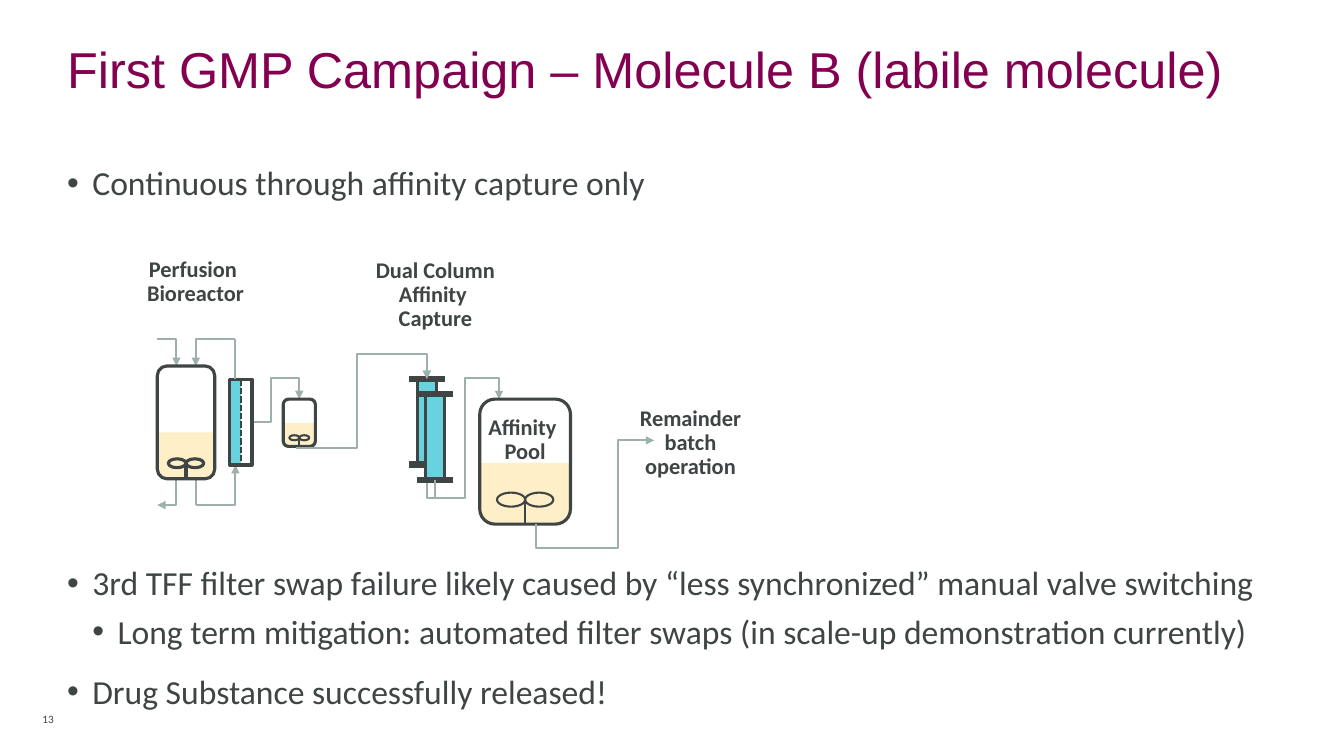
from dataclasses import dataclass

from lxml import etree
from pptx import Presentation
from pptx.dml.color import RGBColor
from pptx.enum.dml import MSO_LINE
from pptx.enum.shapes import MSO_CONNECTOR, MSO_SHAPE
from pptx.enum.text import MSO_ANCHOR, MSO_AUTO_SIZE, PP_ALIGN
from pptx.oxml.ns import qn
from pptx.util import Pt

STRAIGHT, ELBOW = MSO_CONNECTOR.STRAIGHT, MSO_CONNECTOR.ELBOW
RECT, OVAL = MSO_SHAPE.RECTANGLE, MSO_SHAPE.OVAL
VESSEL = MSO_SHAPE.FLOWCHART_ALTERNATE_PROCESS
LIQUID = MSO_SHAPE.ROUND_2_SAME_RECTANGLE
TOP, BOTTOM = 0, 2


class Theme:
    ink = RGBColor.from_string("3F4444")
    plum = RGBColor.from_string("830051")
    pipe = RGBColor.from_string("9DB0AC")
    resin = RGBColor.from_string("68D2DF")
    broth = RGBColor.from_string("FFEFC9")
    title_font, body_font = "Arial", "Calibri"
    title_size, body_size, label_size, number_size = 36, 24, 16, 8
    thin, wall, rim = 1.5, 2.25, 4.5


@dataclass
class Box:
    left: float
    top: float
    width: float
    height: float

    @property
    def right(self):
        return self.left + self.width

    @property
    def bottom(self):
        return self.top + self.height

    @property
    def center(self):
        return self.left + self.width / 2

    def inner(self, dx, dy, width, height):
        return Box(self.left + dx, self.top + dy, width, height)

    def lengths(self):
        return [Pt(v) for v in (self.left, self.top, self.width, self.height)]


def add_part(slide, kind, box, fill=None, weight=None):
    part = slide.shapes.add_shape(kind, *box.lengths())
    part.shadow.inherit = False
    if fill is None:
        part.fill.background()
    else:
        part.fill.solid()
        part.fill.fore_color.rgb = fill
    if weight is None:
        part.line.fill.background()
    else:
        part.line.color.rgb = Theme.ink
        part.line.width = Pt(weight)
    return part


def add_line(slide, start, end, color=Theme.pipe, weight=Theme.thin, arrow=False, kind=STRAIGHT):
    line = slide.shapes.add_connector(kind, *[Pt(v) for v in (*start, *end)])
    line.line.color.rgb = color
    line.line.width = Pt(weight)
    properties = line._element.spPr
    if arrow:
        etree.SubElement(properties.find(qn("a:ln")), qn("a:tailEnd"), type="triangle")
    etree.SubElement(properties, qn("a:effectLst"))
    return line


def add_pipe(slide, start, end, bends, upright=False):
    """Arrow bending at x, y, x... in turn; an upright one leaves vertically, so y comes first."""
    first = 1 if upright else 0
    ends = [start, end]
    if upright:
        mid_x, mid_y = (start[0] + end[0]) / 2, (start[1] + end[1]) / 2
        ends = [(mid_x + y - mid_y, mid_y - x + mid_x) for x, y in ends]
    pipe = add_line(slide, *ends, arrow=True, kind=ELBOW)
    properties = pipe._element.spPr
    if upright:
        properties.find(qn("a:xfrm")).set("rot", "5400000")
    geometry = properties.find(qn("a:prstGeom"))
    geometry.set("prst", f"bentConnector{len(bends) + 2}")
    guides = geometry.find(qn("a:avLst"))
    for i, bend in enumerate(bends):
        axis = (first + i) % 2
        share = (bend - start[axis]) / (end[axis] - start[axis])
        etree.SubElement(guides, qn("a:gd"), name=f"adj{i + 1}", fmla=f"val {round(share * 100000)}")


def add_text(slide, box, inset=(0, 0, 0, 0)):
    frame = slide.shapes.add_textbox(*box.lengths()).text_frame
    frame.word_wrap = True
    frame.margin_left, frame.margin_top, frame.margin_right, frame.margin_bottom = map(Pt, inset)
    return frame


def style(paragraph, size, color=Theme.ink, font=Theme.body_font, bold=False):
    paragraph.font.size = Pt(size)
    paragraph.font.color.rgb = color
    paragraph.font.name = font
    paragraph.font.bold = bold


def add_title(slide, box, wording):
    title = slide.shapes.title
    title.left, title.top, title.width, title.height = box.lengths()
    frame = title.text_frame
    frame.margin_left = frame.margin_top = frame.margin_right = frame.margin_bottom = 0
    frame.vertical_anchor = MSO_ANCHOR.TOP
    frame.auto_size = MSO_AUTO_SIZE.NONE
    heading = frame.paragraphs[0]
    heading.text = wording
    heading.alignment = PP_ALIGN.LEFT
    heading.line_spacing = 0.9
    style(heading, Theme.title_size, Theme.plum, Theme.title_font)


def add_bullets(slide, box, points):
    frame = add_text(slide, box)
    for i, (level, wording) in enumerate(points):
        point = frame.add_paragraph() if i else frame.paragraphs[0]
        point.text = wording
        point.level = level
        properties = point._p.get_or_add_pPr()
        properties.set("marL", str(Pt(18 * (level + 1))))
        properties.set("indent", str(Pt(-18)))
        etree.SubElement(properties, qn("a:buFont"), typeface="Arial")
        etree.SubElement(properties, qn("a:buChar"), char="•")
        point.space_before = Pt(6 if i and level == 0 else 0)
        point.space_after = Pt(8 if level else 6)
        style(point, Theme.body_size)


def add_label(slide, box, wording):
    label = add_text(slide, box, (7.2, 3.6, 7.2, 3.6)).paragraphs[0]
    label.text = wording
    label.alignment = PP_ALIGN.CENTER
    label.line_spacing = 0.9
    style(label, Theme.label_size, bold=True)


def add_vessel(slide, box, level, stirrer_weight=Theme.thin):
    """Tank filled to the given share of its height, with a two-blade stirrer."""
    depth = box.height * level
    broth = add_part(slide, LIQUID, box.inner(0, box.height - depth, box.width, depth), Theme.broth)
    broth.adjustments[0], broth.adjustments[1] = 0, 0.23
    blade = box.width * 0.31
    hub = box.bottom - box.width * 0.27
    for left in (box.center - blade, box.center):
        add_part(slide, OVAL, Box(left, hub - blade / 4, blade, blade / 2), weight=stirrer_weight)
    wall = add_part(slide, VESSEL, box, weight=Theme.wall)
    shaft = add_line(slide, (box.center, hub), (box.center, box.bottom), Theme.ink, stirrer_weight)
    shaft.end_connect(wall, BOTTOM)


def add_filter(slide, box):
    retentate = add_part(slide, RECT, box.inner(0, 0, box.width / 2, box.height), Theme.resin)
    housing = add_part(slide, RECT, box, weight=Theme.wall)
    membrane = add_line(slide, (box.center, box.top), (box.center, box.bottom), Theme.ink)
    membrane.line.dash_style = MSO_LINE.SQUARE_DOT
    membrane.begin_connect(housing, TOP)
    membrane.end_connect(housing, BOTTOM)
    return retentate


def add_column(slide, box):
    column = add_part(slide, RECT, box, Theme.resin, Theme.wall)
    for y in (box.top, box.bottom):
        add_line(slide, (box.left - 5.8, y), (box.right + 5.8, y), Theme.ink, Theme.rim)
    return column


def add_bioreactor(slide, tank, cell_filter):
    """Perfusion tank with its feed, bleed and filter loop."""
    inlet, loop = tank.left + 13.6, tank.left + 27.5
    filter_x = cell_filter.left + cell_filter.width / 4
    feed_y, drain_y = tank.top - 19, tank.bottom + 18.8
    add_pipe(slide, (tank.left, feed_y), (inlet, tank.top), [inlet])
    add_pipe(slide, (filter_x, feed_y), (loop, tank.top), [loop])
    add_pipe(slide, (inlet, tank.bottom), (tank.left, drain_y), [inlet])
    add_line(slide, (loop, tank.bottom), (loop, drain_y))
    add_pipe(slide, (loop, drain_y), (filter_x, cell_filter.bottom), [filter_x])
    add_vessel(slide, tank, 0.41, Theme.wall)
    retentate = add_filter(slide, cell_filter)
    add_line(slide, (filter_x, cell_filter.top), (filter_x, feed_y)).begin_connect(retentate, TOP)


def add_process_train(slide, frame):
    tank = frame.inner(32.4, 81.4, 41, 80.6)
    cell_filter = frame.inner(84.2, 91, 15.8, 61.2)
    surge = frame.inner(122.3, 105.1, 23, 33.8)
    lead = frame.inner(218.1, 90.7, 13.7, 61.2)
    lag = lead.inner(5.8, 10.8, lead.width, lead.height)
    pool = frame.inner(262.7, 105.1, 64.8, 89.3)
    crest, sump = frame.top + 90, frame.top + 175.7

    add_pipe(slide, (lead.center, lead.bottom), (pool.left + 13.7, pool.top),
             [sump, frame.left + 251.9, crest], upright=True)
    add_pipe(slide, (cell_filter.right, frame.top + 121.7), (surge.center, surge.top),
             [cell_filter.right + 13.6, crest])
    add_vessel(slide, pool, 0.49)
    lead_column = add_column(slide, lead)
    lag_column = add_column(slide, lag)
    add_line(slide, (lag.center, lag.bottom), (lag.center, sump)).begin_connect(lag_column, BOTTOM)
    add_vessel(slide, surge, 0.49)
    add_line(slide, (lead.center, lead.top - 13), (lead.center, lead.top),
             arrow=True).end_connect(lead_column, TOP)
    add_bioreactor(slide, tank, cell_filter)
    add_pipe(slide, (surge.center - 2, surge.bottom + 0.8), (lead.center, lead.top),
             [frame.left + 174.9, lead.top - 18])
    add_pipe(slide, (pool.left + 40.3, pool.bottom), (frame.left + 387.3, frame.top + 134.6),
             [pool.bottom + 17.3, frame.left + 361.4], upright=True)

    for dx, dy, height, wording in (
        (172, 1.4, 60, "Dual Column Affinity \vCapture"),
        (0.6, 0.7, 42.5, "Perfusion \vBioreactor"),
        (236, 113.8, 42.5, "Affinity \vPool"),
        (354.2, 107.3, 60, "Remainder batch operation"),
    ):
        add_label(slide, frame.inner(dx, dy, 118, height), wording)


def add_page_number(slide, box, number):
    frame = add_text(slide, box, (0, 0, 0, 5.8))
    frame.vertical_anchor = MSO_ANCHOR.BOTTOM
    page = frame.paragraphs[0]
    page.text = number
    page.alignment = PP_ALIGN.RIGHT
    style(page, Theme.number_size)


def main():
    deck = Presentation()
    deck.slide_width, deck.slide_height = Pt(960), Pt(540)
    slide = deck.slides.add_slide(deck.slide_layouts[5])
    add_title(slide, Box(48, 32, 864, 72), "First GMP Campaign – Molecule B (labile molecule)")
    add_bullets(slide, Box(48, 116, 864, 36), [(0, "Continuous through affinity capture only")])
    add_process_train(slide, Box(80, 180, 475, 214))
    add_bullets(slide, Box(48, 401.7, 864, 114), [
        (0, "3rd TFF filter swap failure likely caused by “less synchronized” manual valve switching"),
        (1, "Long term mitigation: automated filter swaps (in scale-up demonstration currently)"),
        (0, "Drug Substance successfully released!"),
    ])
    add_page_number(slide, Box(0, 500, 38.4, 24.4), "13")
    deck.save("out.pptx")


if __name__ == "__main__":
    main()
